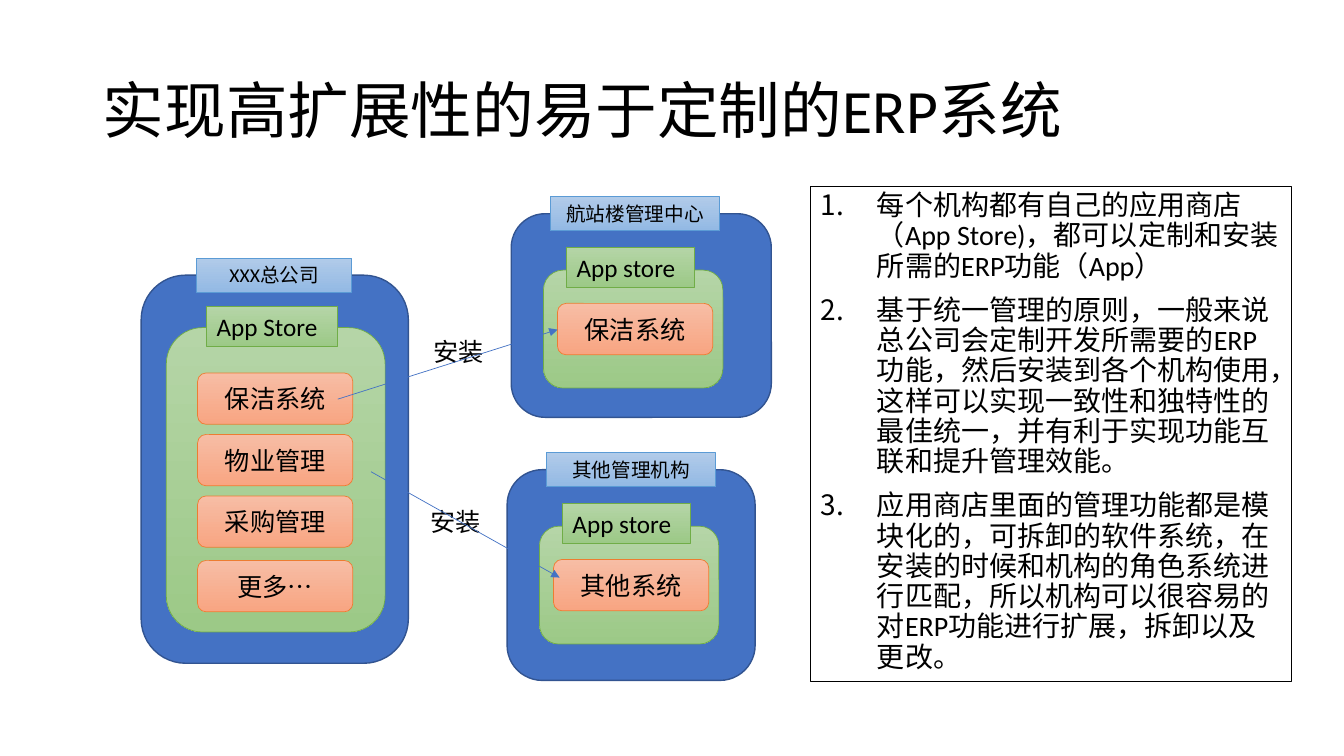
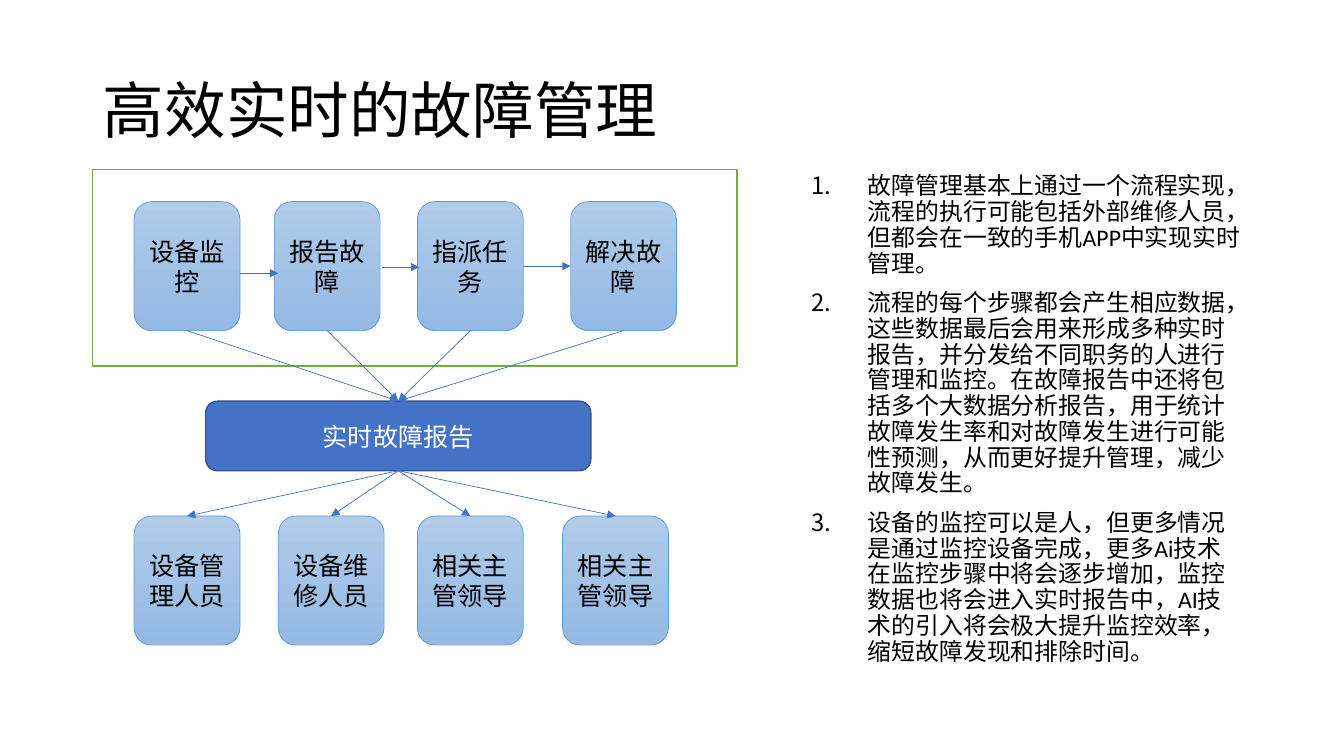
import pptx
import pptx.util
import pptx.dml.color
import pptx.enum.dml
import pptx.enum.lang
import pptx.enum.shapes
import pptx.enum.text
import pptx.oxml.ns
import lxml.etree

Inches = pptx.util.Inches
Pt = pptx.util.Pt
SHAPE = pptx.enum.shapes.MSO_SHAPE
ALIGN = pptx.enum.text.PP_ALIGN
ANCHOR = pptx.enum.text.MSO_ANCHOR

FONT = "Calibri"
TOP, BOTTOM = 0, 2
COLORS = {"black": "000000", "white": "FFFFFF", "blue": "4472C4",
          "navy": "325491", "green": "70AD47"}
STYLES = {
    "solid": (["4472C4"], "325491", 1),
    "frame": (["FFFFFF"], "70AD47", 1),
    "sky": (["B1CBE9", "93B9E4"], "5B9BD5", 0.5),
    "leaf": (["B5D5A7", "9CC987"], "70AD47", 0.5),
    "peach": (["F7BDA5", "F8A582"], "ED7D31", 0.5),
}

STORE_NOTES = [
    "每个机构都有自己的应用商店（App Store)，都可以定制和安装所需的ERP功能（App）",
    "基于统一管理的原则，一般来说总公司会定制开发所需要的ERP功能，然后安装到各个机构使用，"
    "这样可以实现一致性和独特性的最佳统一，并有利于实现功能互联和提升管理效能。",
    "应用商店里面的管理功能都是模块化的，可拆卸的软件系统，在安装的时候和机构的角色系统进行匹配，"
    "所以机构可以很容易的对ERP功能进行扩展，拆卸以及更改。",
]
FAULT_NOTES = [
    "故障管理基本上通过一个流程实现，流程的执行可能包括外部维修人员，"
    "但都会在一致的手机APP中实现实时管理。",
    "流程的每个步骤都会产生相应数据，这些数据最后会用来形成多种实时报告，"
    "并分发给不同职务的人进行管理和监控。在故障报告中还将包括多个大数据分析报告，"
    "用于统计故障发生率和对故障发生进行可能性预测，从而更好提升管理，减少故障发生。",
    "设备的监控可以是人，但更多情况是通过监控设备完成，更多Ai技术在监控步骤中将会逐步增加，"
    "监控数据也将会进入实时报告中，AI技术的引入将会极大提升监控效率，缩短故障发现和排除时间。",
]


def rgb(value):
    return pptx.dml.color.RGBColor.from_string(value)


def style_paragraph(para, size, color="black", align=ALIGN.LEFT):
    para.alignment = align
    para.font.name = FONT
    para.font.size = Pt(size)
    para.font.color.rgb = rgb(COLORS[color])
    para.font.language_id = pptx.enum.lang.MSO_LANGUAGE_ID.SIMPLIFIED_CHINESE


def add_page(deck, title):
    page = deck.slides.add_slide(deck.slide_layouts[5])
    box = page.shapes.title
    box.left, box.top, box.width, box.height = map(Inches, (0.92, 0.4, 11.5, 1.45))
    box.text_frame.text = title
    box.text_frame.vertical_anchor = ANCHOR.MIDDLE
    para = box.text_frame.paragraphs[0]
    para.line_spacing = 0.9
    style_paragraph(para, 44)
    return page


def add_box(shapes, kind, place, style, text="", size=18, color="black",
            align=ALIGN.CENTER):
    box = shapes.add_shape(kind, *map(Inches, place))
    box.shadow.inherit = False
    fills, line, width = STYLES[style]
    if len(fills) == 1:
        box.fill.solid()
        box.fill.fore_color.rgb = rgb(fills[0])
    else:
        box.fill.gradient()
        box.fill.gradient_angle = 270
        for stop, position, value in zip(box.fill.gradient_stops, (0, 1), fills):
            stop.position = position
            stop.color.rgb = rgb(value)
    box.line.color.rgb = rgb(line)
    box.line.width = Pt(width)
    if text:
        box.text_frame.text = text
        box.text_frame.word_wrap = True
        style_paragraph(box.text_frame.paragraphs[0], size, color, align)
    return box


def add_label(page, place, text):
    box = page.shapes.add_textbox(*map(Inches, place))
    box.text_frame.word_wrap = True
    box.text_frame.text = text
    style_paragraph(box.text_frame.paragraphs[0], 18)


def add_numbered_list(page, place, items, size, framed=False):
    box = page.shapes.add_textbox(*map(Inches, place))
    if framed:
        box.fill.solid()
        box.fill.fore_color.rgb = rgb(COLORS["white"])
        box.line.color.rgb = rgb(COLORS["black"])
        box.line.width = Pt(1)
    frame = box.text_frame
    frame.word_wrap = True
    frame.text = "\n".join(items)
    for para in frame.paragraphs:
        properties = para._p.get_or_add_pPr()
        properties.set("marL", str(Inches(0.56)))
        properties.set("indent", str(-Inches(0.56)))
        lxml.etree.SubElement(properties, pptx.oxml.ns.qn("a:buAutoNum"),
                              type="arabicPeriod")
        para.line_spacing = 0.9
        para.space_before = Pt(10)
        style_paragraph(para, size)


def add_arrow(page, start=(0, 0), end=(0, 0)):
    arrow = page.shapes.add_connector(
        pptx.enum.shapes.MSO_CONNECTOR.STRAIGHT, *map(Inches, (*start, *end)))
    arrow.line.color.rgb = rgb(COLORS["blue"])
    arrow.line.width = Pt(0.5)
    lxml.etree.SubElement(arrow.line._get_or_add_ln(),
                          pptx.oxml.ns.qn("a:tailEnd"), type="triangle")
    lxml.etree.SubElement(arrow._element.spPr, pptx.oxml.ns.qn("a:effectLst"))
    return arrow


def link(page, source, target):
    arrow = add_arrow(page)
    arrow.begin_connect(source, BOTTOM)
    arrow.end_connect(target, TOP)


def add_organisation(page, place, name, name_box, store_name, store_box,
                     store_label, apps, app_left):
    left, top = place[:2]
    shapes = page.shapes.add_group_shape().shapes

    def inside(x, y, width, height):
        return left + x, top + y, width, height

    add_box(shapes, SHAPE.ROUNDED_RECTANGLE, place, "solid")
    add_box(shapes, SHAPE.RECTANGLE, inside(*name_box), "sky", name, 14)
    add_box(shapes, SHAPE.ROUNDED_RECTANGLE, inside(*store_box), "leaf")
    add_box(shapes, SHAPE.RECTANGLE, inside(*store_label), "leaf", store_name,
            align=ALIGN.LEFT)
    for app, y in apps:
        add_box(shapes, SHAPE.ROUNDED_RECTANGLE, inside(app_left, y, 1.54, 0.51),
                "peach", app)


def build_store_page(deck):
    page = add_page(deck, "实现高扩展性的易于定制的ERP系统")
    add_numbered_list(page, (8.04, 1.85, 4.77, 4.91), STORE_NOTES, 20, framed=True)
    add_organisation(
        page, (1.4, 2.73, 2.65, 3.85), "XXX总公司", (0.55, -0.17, 1.54, 0.34),
        "App Store", (0.25, 0.52, 2.17, 3.02), (0.65, 0.31, 1.3, 0.4),
        [("保洁系统", 0.97), ("物业管理", 1.58), ("采购管理", 2.19), ("更多…", 2.83)],
        0.56)
    branches = [
        ((5.07, 2.12, 2.58, 2.02), "航站楼管理中心", "保洁系统"),
        ((5.03, 4.66, 2.46, 2.09), "其他管理机构", "其他系统"),
    ]
    for place, name, app in branches:
        add_organisation(
            page, place, name, (0.39, -0.17, 1.68, 0.34), "App store",
            (0.32, 0.56, 1.78, 1.17), (0.55, 0.33, 1.27, 0.4), [(app, 0.89)], 0.46)
    add_label(page, (4.2, 3.29, 0.71, 0.4), "安装")
    add_label(page, (4.17, 4.97, 0.71, 0.4), "安装")
    add_arrow(page, (3.68, 4.68), (5.55, 5.73))
    add_arrow(page, (3.35, 3.96), (5.53, 3.27))


def add_row(page, top, cells):
    return [add_box(page.shapes, SHAPE.ROUNDED_RECTANGLE, (left, top, 1.05, 1.28),
                    "sky", text) for left, text in cells]


def build_fault_page(deck):
    page = add_page(deck, "高效实时的故障管理")
    add_numbered_list(page, (7.95, 1.68, 4.47, 5.08), FAULT_NOTES, 17)
    add_box(page.shapes, SHAPE.RECTANGLE, (0.92, 1.68, 6.39, 1.95), "frame")
    steps = add_row(page, 2, [(1.33, "设备监控"), (2.72, "报告故障"),
                              (4.14, "指派任务"), (5.66, "解决故障")])
    report = add_box(page.shapes, SHAPE.ROUNDED_RECTANGLE, (2.04, 3.98, 3.82, 0.69),
                     "solid", "实时故障报告", color="white")
    readers = add_row(page, 5.12, [(1.33, "设备管理人员"), (2.76, "设备维修人员"),
                                   (4.14, "相关主管领导"), (5.58, "相关主管领导")])
    for start, end, y in [(2.38, 2.76, 2.71), (3.79, 4.16, 2.65), (5.19, 5.66, 2.64)]:
        add_arrow(page, (start, y), (end, y))
    for step in steps:
        link(page, step, report)
    for reader in readers:
        link(page, report, reader)


def main():
    deck = pptx.Presentation()
    deck.slide_width = Inches(13.33)
    deck.slide_height = Inches(7.5)
    build_store_page(deck)
    build_fault_page(deck)
    deck.save("out.pptx")


main()
